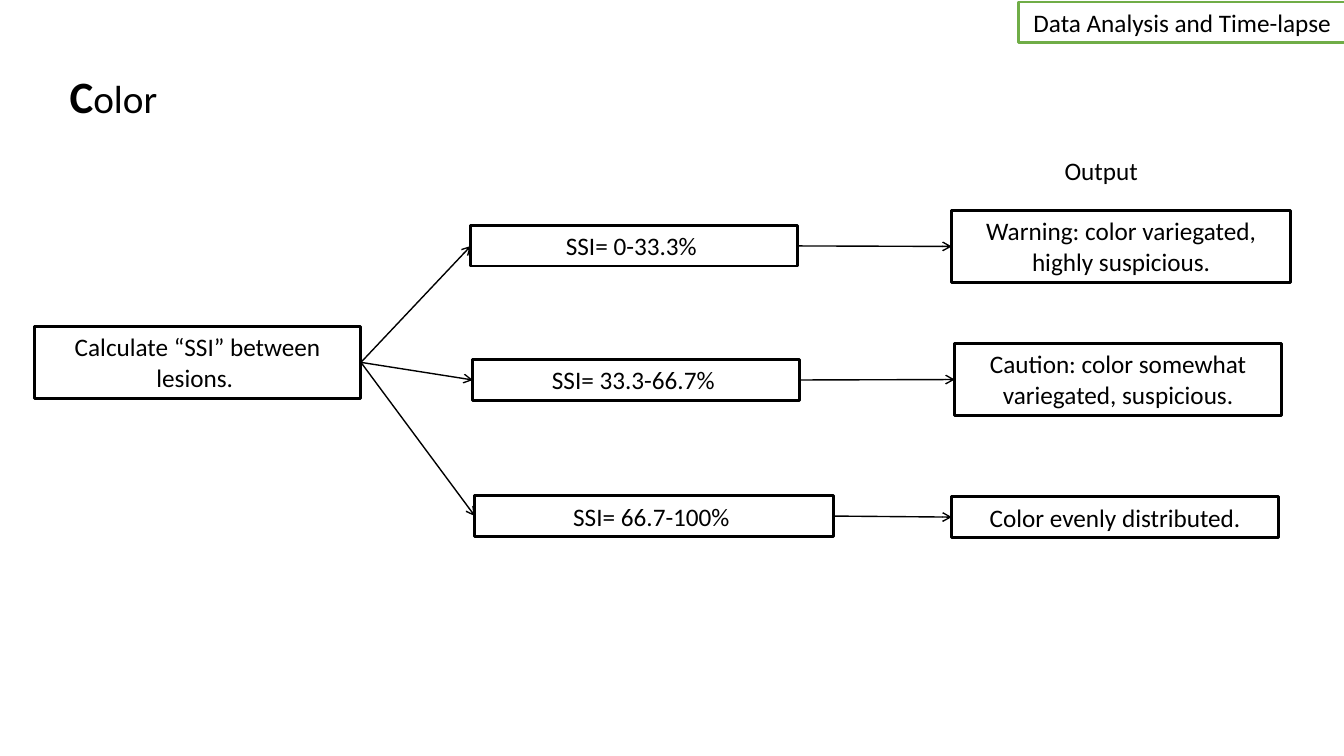
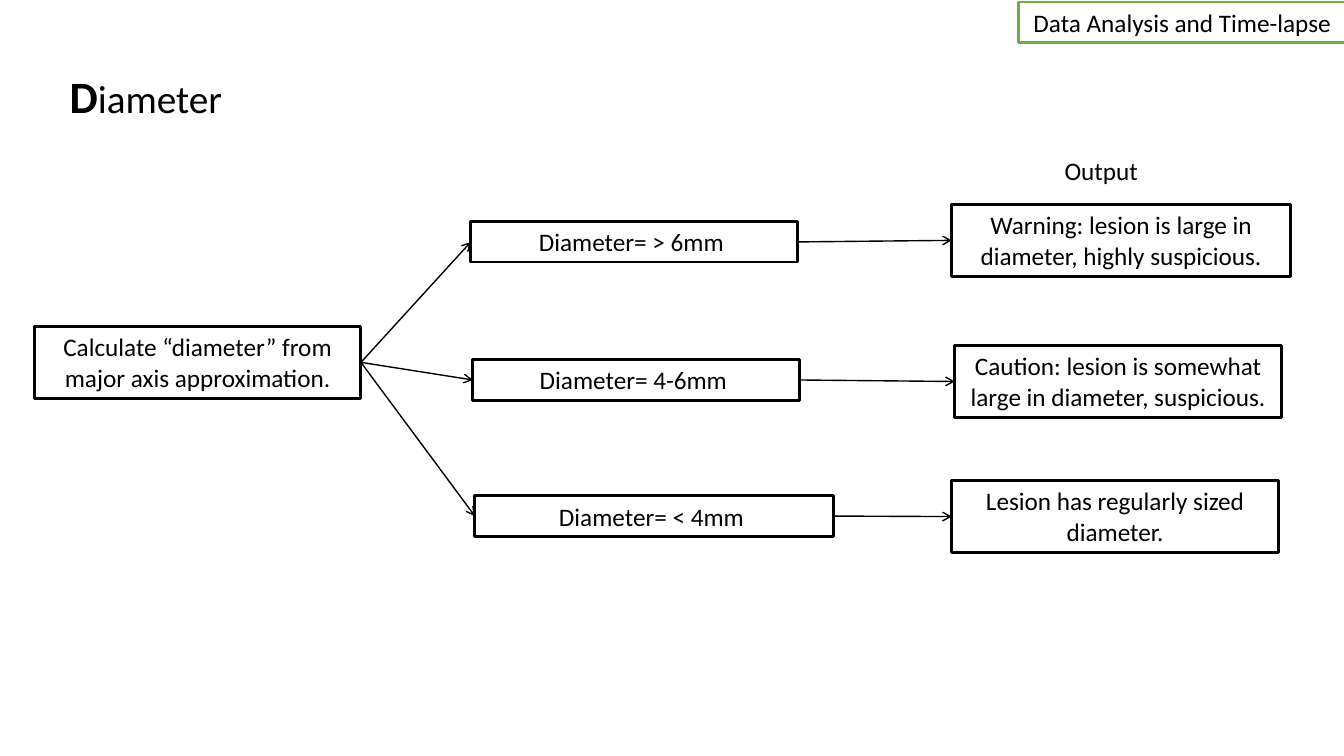
import dataclasses

import lxml.etree
import pptx
import pptx.dml.color
import pptx.enum.shapes
import pptx.enum.text
import pptx.oxml.ns
import pptx.util

FONT = "Calibri"
BLACK = "000000"
GREEN = "70AD47"
ONE_LINE = 0.4
TWO_LINES = 0.71
LEFT_SIDE, RIGHT_SIDE = 1, 3

Inches = pptx.util.Inches
ALIGN = pptx.enum.text.PP_ALIGN


@dataclasses.dataclass(frozen=True)
class Area:
    left: float
    top: float
    width: float
    height: float


@dataclasses.dataclass(frozen=True)
class Branch:
    condition: str
    condition_top: float
    output: str
    output_top: float
    output_height: float = TWO_LINES


@dataclasses.dataclass(frozen=True)
class Flow:
    title: str
    title_width: float
    step: str
    branches: tuple[Branch, ...]


@dataclasses.dataclass(frozen=True)
class Lane:
    """Horizontal extents of one branch's two boxes."""
    condition_left: float
    condition_width: float
    output_left: float
    output_width: float


TAG_AREA = Area(10.1, 0.02, 3.25, ONE_LINE)
STEP_AREA = Area(0.34, 3.24, 3.24, TWO_LINES)
OUTPUT_LABEL_AREA = Area(10.46, 1.49, 2.34, ONE_LINE)
LANES = (
    Lane(4.67, 3.24, 9.44, 3.36),
    Lane(4.69, 3.24, 9.47, 3.24),
    Lane(4.71, 3.56, 9.44, 3.24),
)

FLOWS = (
    Flow("Color", 1.08, "Calculate “SSI” between lesions. ", (
        Branch("SSI= 0-33.3% ", 2.24,
               "Warning: color variegated, highly suspicious.", 2.09),
        Branch("SSI= 33.3-66.7% ", 3.57,
               "Caution: color somewhat variegated, suspicious.", 3.41),
        Branch("SSI= 66.7-100% ", 4.92,
               "Color evenly distributed.", 4.93, ONE_LINE),
    )),
    Flow("Diameter", 1.74, "Calculate “diameter” from major axis approximation.", (
        Branch("Diameter= > 6mm ", 2.2,
               "Warning: lesion is large in diameter, highly suspicious.", 2.03),
        Branch("Diameter= 4-6mm ", 3.57,
               "Caution: lesion is somewhat large in diameter, suspicious.", 3.43),
        Branch("Diameter= < 4mm ", 4.92,
               "Lesion has regularly sized diameter.", 4.77),
    )),
)


def color(hex_string: str) -> pptx.dml.color.RGBColor:
    return pptx.dml.color.RGBColor.from_string(hex_string)


def bounds(area: Area) -> tuple[pptx.util.Length, ...]:
    return tuple(Inches(value) for value in dataclasses.astuple(area))


def add_span(para, text: str, size: float = 18, bold: bool = False) -> None:
    span = para.add_run()
    span.text = text
    span.font.name = FONT
    span.font.size = pptx.util.Pt(size)
    span.font.bold = bold
    span.font.color.rgb = color(BLACK)


def prepare_frame(box, align: ALIGN, wrap: bool = True):
    """Set up the box's text frame and return its first paragraph."""
    frame = box.text_frame
    frame.word_wrap = wrap
    frame.auto_size = pptx.enum.text.MSO_AUTO_SIZE.SHAPE_TO_FIT_TEXT
    frame.vertical_anchor = pptx.enum.text.MSO_ANCHOR.TOP
    para = frame.paragraphs[0]
    para.alignment = align
    return para


def add_title(page, text: str, width: float) -> None:
    """Write the title with its first letter larger and bold."""
    title = page.shapes.title
    title.left, title.top, title.width, title.height = bounds(
        Area(0.59, 0.63, width, 0.64))
    para = prepare_frame(title, ALIGN.LEFT, wrap=False)
    add_span(para, text[0], 32, bold=True)
    add_span(para, text[1:], 28)


def add_box(page, area: Area, text: str, line_color: str = BLACK):
    box = page.shapes.add_shape(
        pptx.enum.shapes.MSO_SHAPE.RECTANGLE, *bounds(area))
    box.shadow.inherit = False
    box.fill.background()
    box.line.color.rgb = color(line_color)
    box.line.width = pptx.util.Pt(2)
    add_span(prepare_frame(box, ALIGN.CENTER), text)
    return box


def add_arrow(page, source, target) -> None:
    """Connect the right side of source to the left side of target."""
    arrow = page.shapes.add_connector(
        pptx.enum.shapes.MSO_CONNECTOR.STRAIGHT, 0, 0, 0, 0)
    arrow.begin_connect(source, RIGHT_SIDE)
    arrow.end_connect(target, LEFT_SIDE)
    arrow.line.color.rgb = color(BLACK)
    arrow.line.width = pptx.util.Pt(1)
    qn = pptx.oxml.ns.qn
    lxml.etree.SubElement(
        arrow.line._get_or_add_ln(), qn("a:tailEnd"), type="arrow")
    lxml.etree.SubElement(arrow._element.spPr, qn("a:effectLst"))


def add_flow_page(deck, flow: Flow) -> None:
    page = deck.slides.add_slide(deck.slide_layouts.get_by_name("Title Only"))
    add_title(page, flow.title, flow.title_width)
    add_box(page, TAG_AREA, "Data Analysis and Time-lapse", GREEN)
    label = page.shapes.add_textbox(*bounds(OUTPUT_LABEL_AREA))
    add_span(prepare_frame(label, ALIGN.LEFT), "Output")

    step = add_box(page, STEP_AREA, flow.step)
    for lane, branch in zip(LANES, flow.branches):
        condition = add_box(
            page,
            Area(lane.condition_left, branch.condition_top,
                 lane.condition_width, ONE_LINE),
            branch.condition)
        output = add_box(
            page,
            Area(lane.output_left, branch.output_top,
                 lane.output_width, branch.output_height),
            branch.output)
        add_arrow(page, step, condition)
        add_arrow(page, condition, output)


def main() -> None:
    deck = pptx.Presentation()
    deck.slide_width = Inches(13.33)
    deck.slide_height = Inches(7.5)
    for flow in FLOWS:
        add_flow_page(deck, flow)
    deck.save("out.pptx")


if __name__ == "__main__":
    main()
